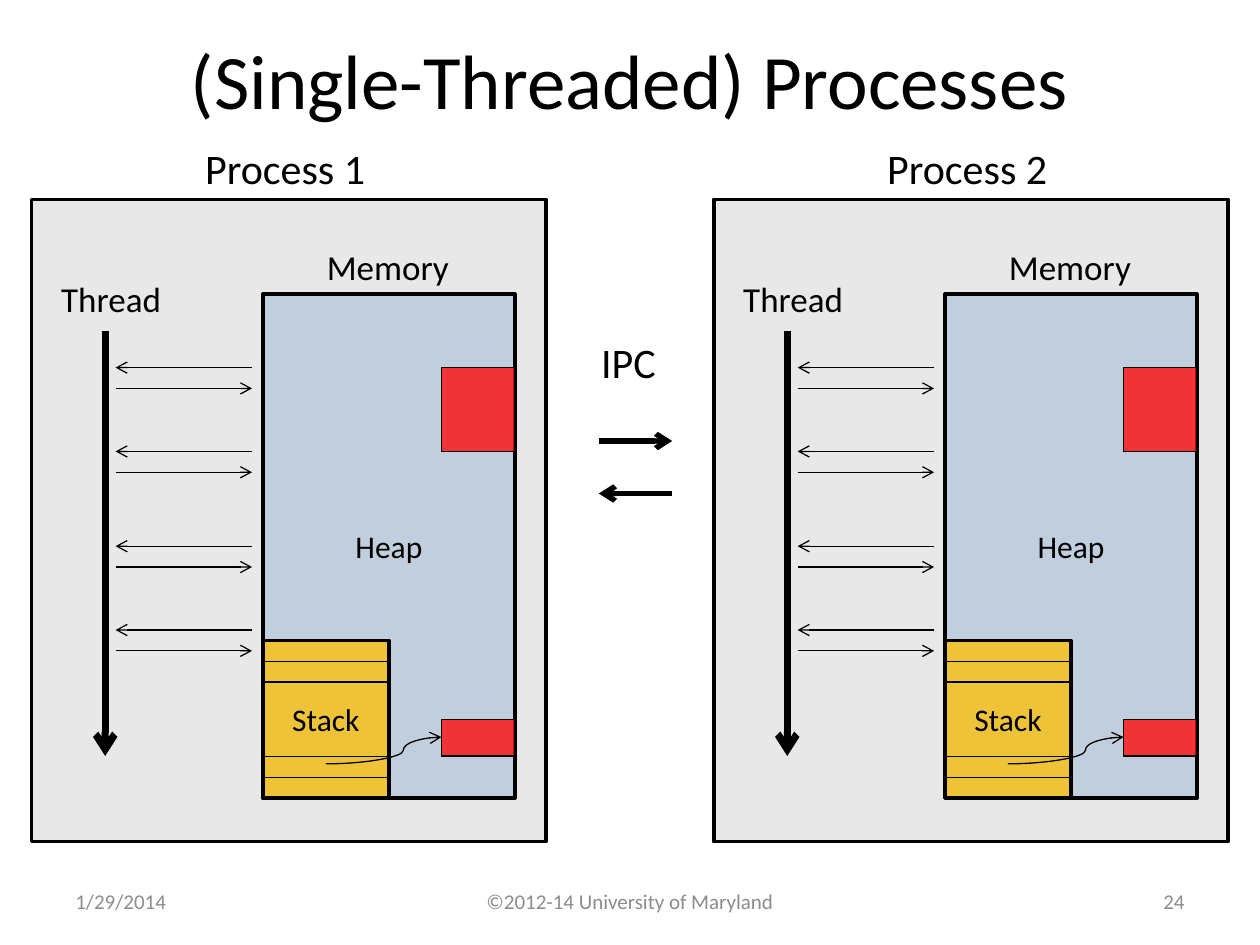
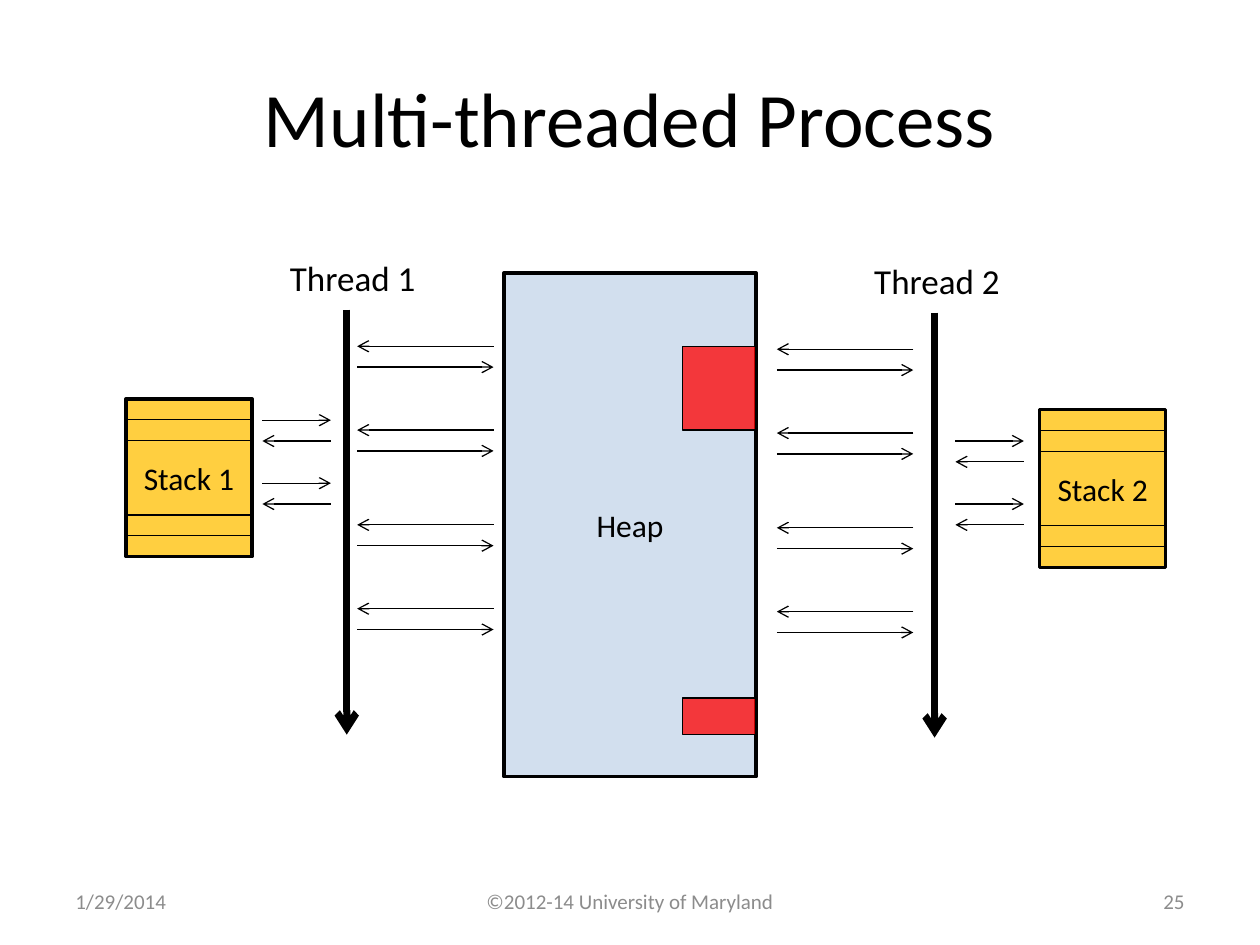
from dataclasses import dataclass

from pptx import Presentation
from pptx.dml.color import RGBColor as Rgb
from pptx.enum.shapes import MSO_CONNECTOR as Wire, MSO_SHAPE as Form
from pptx.enum.text import MSO_ANCHOR as Anchor, PP_ALIGN as Align
from pptx.oxml.ns import qn
from pptx.oxml.xmlchemy import OxmlElement as Node
from pptx.util import Cm, Pt


@dataclass(frozen=True)
class Theme:
    font: str = "Calibri"
    ink: str = "000000"
    mute: str = "8C8C8C"
    # fill colour and opacity in percent
    frame: tuple = ("A6A6A6", 25)
    heap: tuple = ("4F81BD", 25)
    stack: tuple = ("FFC000", 75)
    block: tuple = ("FF0000", 75)
    # type sizes
    title: int = 44
    head: int = 24
    label: int = 20
    body: int = 18
    foot: int = 12
    # line widths
    thin: float = 0.75
    edge: float = 2
    bold: float = 3
    heavy: float = 4


look = Theme()


def box(page, area, text="", size=look.body, fill=None, edge=look.edge,
        align=Align.CENTER, ink=look.ink):
    """Add a filled rectangle, or a text box when there is no fill."""
    spot = [Cm(v) for v in area]
    if fill:
        shape = page.shapes.add_shape(Form.RECTANGLE, *spot)
        shape.shadow.inherit = False
        shape.fill.solid()
        shape.fill.fore_color.rgb = Rgb.from_string(fill[0])
        alpha = Node("a:alpha")
        alpha.set("val", str(fill[1] * 1000))
        next(shape.element.iter(qn("a:srgbClr"))).append(alpha)
        shape.line.color.rgb = Rgb.from_string(look.ink)
        shape.line.width = Pt(edge)
    else:
        shape = page.shapes.add_textbox(*spot)
    if text:
        frame = shape.text_frame
        frame.word_wrap = True
        frame.vertical_anchor = Anchor.MIDDLE
        para = frame.paragraphs[0]
        para.text = text
        para.alignment = align
        para.font.name = look.font
        para.font.size = Pt(size)
        para.font.color.rgb = Rgb.from_string(ink)


def line(page, x1, y1, x2, y2, width=look.thin, arrow=True, bend=None):
    """Add a line; a bend (share of the width) makes it a curve."""
    kind = Wire.CURVE if bend else Wire.STRAIGHT
    wire = page.shapes.add_connector(kind, Cm(x1), Cm(y1), Cm(x2), Cm(y2))
    wire.line.color.rgb = Rgb.from_string(look.ink)
    wire.line.width = Pt(width)
    if arrow:
        tip = Node("a:tailEnd")
        tip.set("type", "arrow")
        wire.line._get_or_add_ln().append(tip)
    if bend:
        guide = Node("a:gd")
        guide.set("name", "adj1")
        guide.set("fmla", f"val {round(bend * 100000)}")
        wire.element.find(".//" + qn("a:avLst")).append(guide)
    wire.element.spPr.append(Node("a:effectLst"))


# Shared measures
row = 0.42                      # height of a stack row, gap of an arrow pair
heap_w, heap_h = 5.08, 10.16
stack_w, stack_h = 2.54, 3.18
rules = [row, 2 * row, stack_h - 2 * row, stack_h - row]
blocks = [(8.57, 0.74), (1.48, 1.69)]          # top and height in the heap
block_x, block_w = 3.6, 1.48
run = 8.57                      # length of a thread
pairs = [0.74, 2.43, 4.34, 6.03]               # arrow pairs along a thread
reach = 2.75                    # length of the arrows to the heap
hop, hop_step = 1.38, 1.27      # arrows between stack and thread

# Slide 1: two processes of the same make
lefts = [0.64, 14.39]
single = dict(
    title="(Single-Threaded) Processes", top=0, number="24",
    frames=[(x, 4.02) for x in lefts],
    heaps=[(x + 4.66, 5.93) for x in lefts],
    stacks=[("Stack", x + 4.66, 12.91) for x in lefts],
    # name, x, top, label shift, start of the arrows
    threads=[("Thread", x + 1.48, 6.67, 0.12, 0.21) for x in lefts],
    hops=[],
    labels=[("Memory", x + 7.18, 5.38, look.label) for x in lefts]
    + [(f"Process {n}", x + 5.11, 3.38, look.head)
       for n, x in enumerate(lefts, 1)]
    + [("IPC", 12.67, 7.29, look.head)],
    curves=[(x + 5.93, 15.4, x + 8.26, 14.86) for x in lefts],
    links=[(12.07, 8.89, 13.55, 8.89), (13.55, 9.95, 12.07, 9.95)],
)

# Slide 2: two threads around one heap
multi = dict(
    title="Multi-threaded Process", top=0.76, number="25",
    frames=[],
    heaps=[(10.16, 5.5)],
    stacks=[("Stack 1", 2.54, 8.04), ("Stack 2", 20.96, 8.26)],
    threads=[("Thread 1", 6.99, 6.24, 0.12, 0.21),
             ("Thread 2", 18.84, 6.3, 0.05, -3.18)],
    hops=[(5.29, 8.47), (19.26, 8.89)],
    labels=[], curves=[], links=[],
)

deck = Presentation()
deck.slide_width, deck.slide_height = Cm(25.4), Cm(19.05)

for plan in (single, multi):
    page = deck.slides.add_slide(deck.slide_layouts[6])

    # Title and footer
    box(page, (1.27, plan["top"], 22.86, 3.18), plan["title"], look.title)
    for text, x, wide, align in (
            ("1/29/2014", 1.27, 5.93, Align.LEFT),
            ("©2012-14 University of Maryland", 8.68, 8.04, Align.CENTER),
            (plan["number"], 18.2, 5.93, Align.RIGHT)):
        box(page, (x, 17.66, wide, 1.01), text, look.foot,
            align=align, ink=look.mute)

    # Process frames
    for x, y in plan["frames"]:
        box(page, (x, y, 10.37, 12.96 - 0.01 + 0), fill=look.frame)

    # Heaps with their blocks
    for x, y in plan["heaps"]:
        box(page, (x, y, heap_w, heap_h), "Heap", fill=look.heap)
        for drop, high in blocks:
            box(page, (x + block_x, y + drop, block_w, high),
                fill=look.block, edge=look.thin)

    # Stacks with their rows
    for name, x, y in plan["stacks"]:
        box(page, (x, y, stack_w, stack_h), name, fill=look.stack)
        for drop in rules:
            line(page, x, y + drop, x + stack_w, y + drop, arrow=False)

    # Threads, their names and the arrows to the heap
    for name, x, y, shift, start in plan["threads"]:
        box(page, (x + shift - 2.54, y - 1.25, 5.08, 1.2), name, look.label)
        line(page, x, y, x, y + run, look.heavy)
        near, far = x + start, x + start + reach
        for drop in pairs:
            line(page, far, y + drop, near, y + drop)
            line(page, near, y + drop + row, far, y + drop + row)

    # Arrows between stacks and threads
    for x, top in plan["hops"]:
        for y in (top, top + hop_step):
            line(page, x, y, x + hop, y)
            line(page, x + hop, y + row, x, y + row)

    # Pointers from stack to heap, links between processes, labels
    for ends in plan["curves"]:
        line(page, *ends, bend=0.67)
    for ends in plan["links"]:
        line(page, *ends, width=look.bold)
    for text, x, y, size in plan["labels"]:
        box(page, (x - 2.54, y - 0.6, 5.08, 1.2), text, size)

deck.save("out.pptx")
